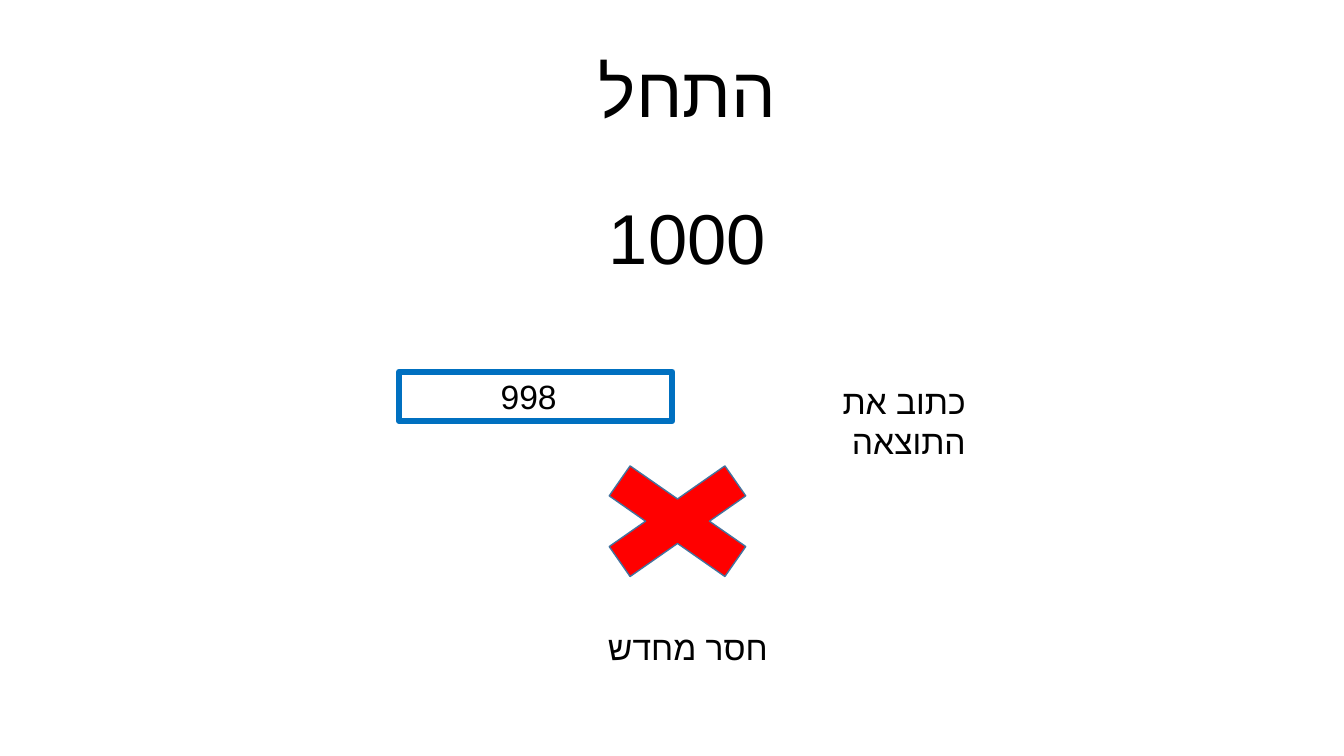
from pptx import Presentation
from pptx.dml.color import RGBColor
from pptx.enum.shapes import MSO_SHAPE as Preset
from pptx.enum.text import PP_ALIGN as Align
from pptx.oxml.ns import qn
from pptx.util import Cm, Pt
from lxml.etree import SubElement

BLACK = RGBColor(0x00, 0x00, 0x00)
BLUE = RGBColor(0x00, 0x70, 0xC0)
RED = RGBColor(0xFF, 0x00, 0x00)
STEEL = RGBColor(0x43, 0x73, 0x9E)


def write(frame, text, size=24, align=Align.CENTER, spacing=None, before=0, first=True):
    para = frame.paragraphs[0] if first else frame.add_paragraph()
    para.alignment = align
    para.space_before = Pt(before)
    if spacing:
        para.line_spacing = spacing
    para._p.get_or_add_pPr().set("rtl", "1")
    span = para.add_run()
    span.text = text
    span.font.size = Pt(size)
    span.font.name = "Calibri"
    span.font.color.rgb = BLACK
    SubElement(span._r.get_or_add_rPr(), qn("a:cs"), typeface="Arial")


def add_frame(page, left, top, width, height):
    box = page.shapes.add_textbox(Cm(left), Cm(top), Cm(width), Cm(height))
    box.text_frame.word_wrap = True
    return box.text_frame


def add_preset(page, preset, left, top, width, height, line, weight, fill=None):
    shape = page.shapes.add_shape(preset, Cm(left), Cm(top), Cm(width), Cm(height))
    shape.shadow.inherit = False
    if fill is None:
        shape.fill.background()
    else:
        shape.fill.solid()
        shape.fill.fore_color.rgb = fill
    shape.line.color.rgb = line
    shape.line.width = Pt(weight)


def add_question(page, left, top, width, height):
    frame = add_frame(page, left, top, width, height)
    write(frame, "התחל", size=50.4, spacing=0.7, before=10)
    write(frame, "1000", size=50.4, spacing=0.7, before=62.5, first=False)


def add_answer(page, left, top, width, height):
    add_preset(page, Preset.RECTANGLE, left, top, width, height, BLUE, 4.5)
    prompt = add_frame(page, left + 8.1, top + 0.1, 6.43, 1.27)
    write(prompt, "כתוב את התוצאה", align=Align.RIGHT)
    result = add_frame(page, left + 1.93, top - 0.03, 2.29, 1.27)
    write(result, "998", align=Align.RIGHT)


def add_feedback(page, left, top, width, height):
    add_preset(page, Preset.MATH_MULTIPLY, left, top, width, height, STEEL, 1, RED)
    retry = add_frame(page, left - 0.15, top + 4.5, 6.43, 1.27)
    write(retry, "חסר מחדש")


def main():
    deck = Presentation()
    deck.slide_width, deck.slide_height = Cm(33.87), Cm(19.05)
    page = deck.slides.add_slide(deck.slide_layouts[6])
    add_question(page, 2.72, 1.65, 29.21, 5.82)
    add_answer(page, 10.06, 9.37, 6.88, 1.24)
    add_feedback(page, 14.27, 11.18, 5.61, 3.91)
    deck.save("out.pptx")


if __name__ == "__main__":
    main()
